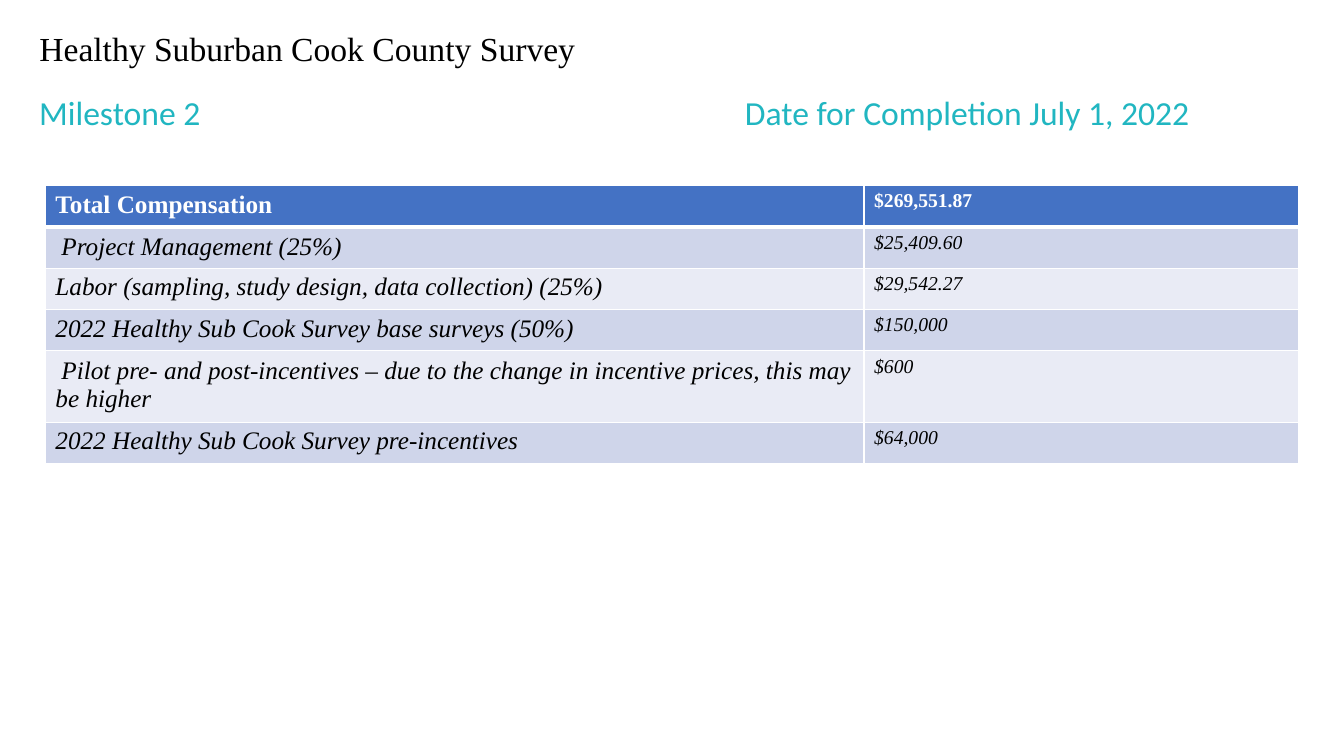
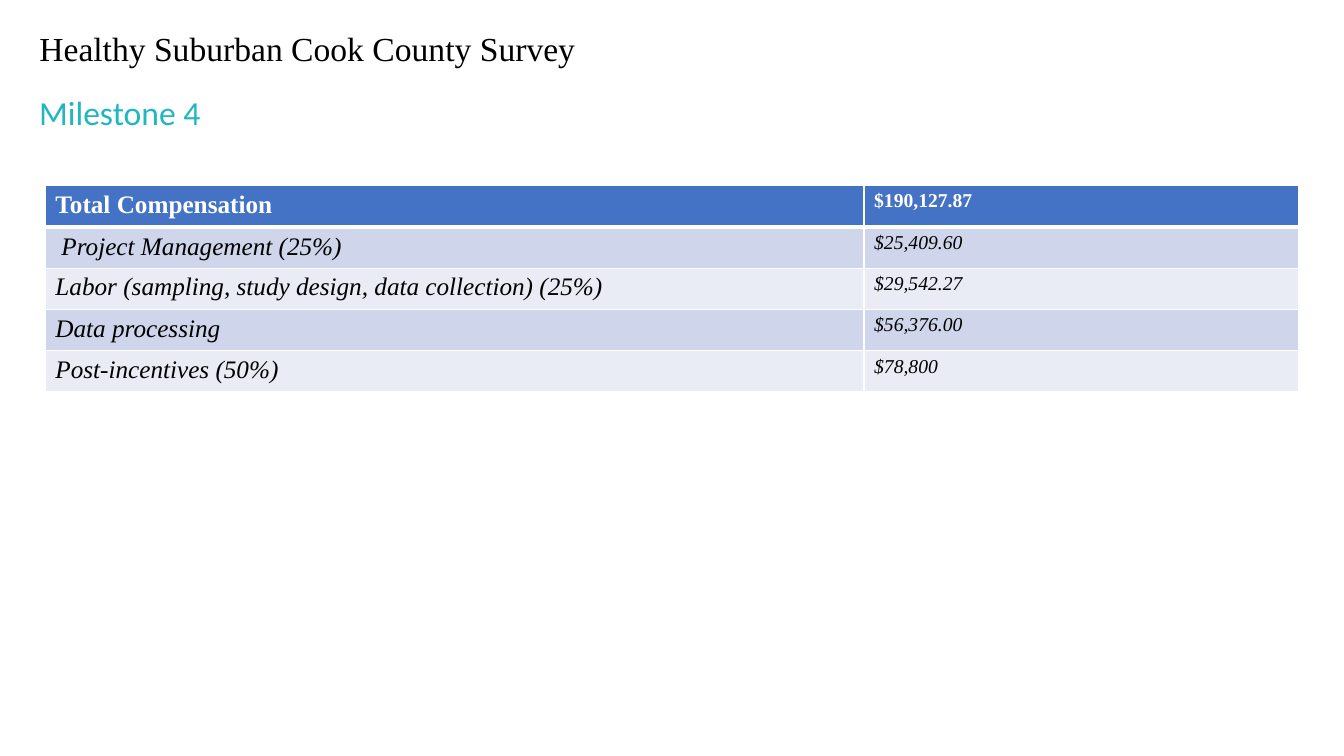
import pptx
import pptx.util
import pptx.dml.color
import pptx.enum.text
import lxml.etree

SCALE = 9144
SERIF = "Times New Roman"
SANS = "Calibri"
BLACK, WHITE, TEAL = "000000", "FFFFFF", "21B6C1"
HEAD = "4472C4"
BANDS = ("CFD5EA", "E9EBF5")
TITLE = "Healthy Suburban Cook County Survey"
COLS = (812, 431)
INDENT = 6

SHARED = [
    ("Project Management (25%)", "$25,409.60", 40, True),
    ("Labor (sampling, study design, data collection) (25%)", "$29,542.27", 41, False),
]
SLIDES = [
    ("Milestone 2\tDate for Completion July 1, 2022", 1172, "$269,551.87", [
        ("2022 Healthy Sub Cook Survey base surveys (50%)", "$150,000", 41, False),
        ("Pilot pre- and post-incentives – due to the change in incentive prices, "
         "this may be higher", "$600", 69, True),
        ("2022 Healthy Sub Cook Survey pre-incentives", "$64,000", 41, False),
    ]),
    ("Milestone 4", 182, "$190,127.87", [
        ("Data processing", "$56,376.00", 41, False),
        ("Post-incentives (50%)", "$78,800", 39, False),
    ]),
]


def px(size):
    return pptx.util.Emu(size * SCALE)


def color(text):
    return pptx.dml.color.RGBColor.from_string(text)


def add_node(parent, tag, **attrs):
    node = lxml.etree.SubElement(parent, pptx.oxml.ns.qn(tag))
    for name, value in attrs.items():
        node.set(name, str(value))
    return node


def style(para, face, size, ink, bold=False, slant=False):
    para.alignment = pptx.enum.text.PP_ALIGN.LEFT
    for run in para.runs:
        font = run.font
        font.name = face
        font.size = pptx.util.Pt(size)
        font.color.rgb = color(ink)
        font.bold = bold
        font.italic = slant


def set_line(shape, text, face, ink, anchor):
    frame = shape.text_frame
    frame.text = text
    frame.word_wrap = False
    frame.auto_size = pptx.enum.text.MSO_AUTO_SIZE.SHAPE_TO_FIT_TEXT
    frame.vertical_anchor = anchor
    para = frame.paragraphs[0]
    para.line_spacing = 0.9
    style(para, face, 24, ink)
    return para


def add_title(slide):
    shape = slide.shapes.title
    shape.left, shape.top = px(29), px(27)
    shape.width, shape.height = px(557), px(46)
    set_line(shape, TITLE, SERIF, BLACK, pptx.enum.text.MSO_ANCHOR.MIDDLE)


def add_stage(slide, text, width):
    shape = slide.shapes.add_textbox(px(29), px(91), px(width), px(46))
    para = set_line(shape, text, SANS, TEAL, pptx.enum.text.MSO_ANCHOR.TOP)
    if "\t" in text:
        tabs = add_node(para._p.get_or_add_pPr(), "a:tabLst")
        add_node(tabs, "a:tab", pos=px(700), algn="l")


def add_edges(cell, above, below):
    props = cell._tc.get_or_add_tcPr()
    for tag, width in (("a:lnL", 1), ("a:lnR", 1), ("a:lnT", above), ("a:lnB", below)):
        edge = add_node(props, tag, w=pptx.util.Pt(width))
        add_node(add_node(edge, "a:solidFill"), "a:srgbClr", val=WHITE)


def fill_cell(cell, text, size, row, indent):
    head = row == 0
    cell.text = text
    add_edges(cell, 3 if row == 1 else 1, 3 if head else 1)
    cell.fill.solid()
    cell.fill.fore_color.rgb = color(HEAD if head else BANDS[(row - 1) % 2])
    para = cell.text_frame.paragraphs[0]
    style(para, SERIF, size, WHITE if head else BLACK, head, not head)
    if indent:
        cell.margin_top = px(6)
        para._p.get_or_add_pPr().set("indent", str(px(INDENT)))


def add_costs(slide, rows):
    high = sum(row[2] for row in rows)
    frame = slide.shapes.add_table(
        len(rows), len(COLS), px(45), px(184), px(sum(COLS)), px(high))
    table = frame.table
    for col, width in zip(table.columns, COLS):
        col.width = px(width)
    for num, (label, cost, height, indent) in enumerate(rows):
        table.rows[num].height = px(height)
        fill_cell(table.cell(num, 0), label, 18, num, indent)
        fill_cell(table.cell(num, 1), cost, 14, num, False)


def main():
    deck = pptx.Presentation()
    deck.slide_width, deck.slide_height = px(1333), px(750)
    for stage, width, total, rows in SLIDES:
        slide = deck.slides.add_slide(deck.slide_layouts[5])
        add_title(slide)
        add_costs(slide, [("Total Compensation", total, 41, False)] + SHARED + rows)
        add_stage(slide, stage, width)
    deck.save("out.pptx")


if __name__ == "__main__":
    main()
